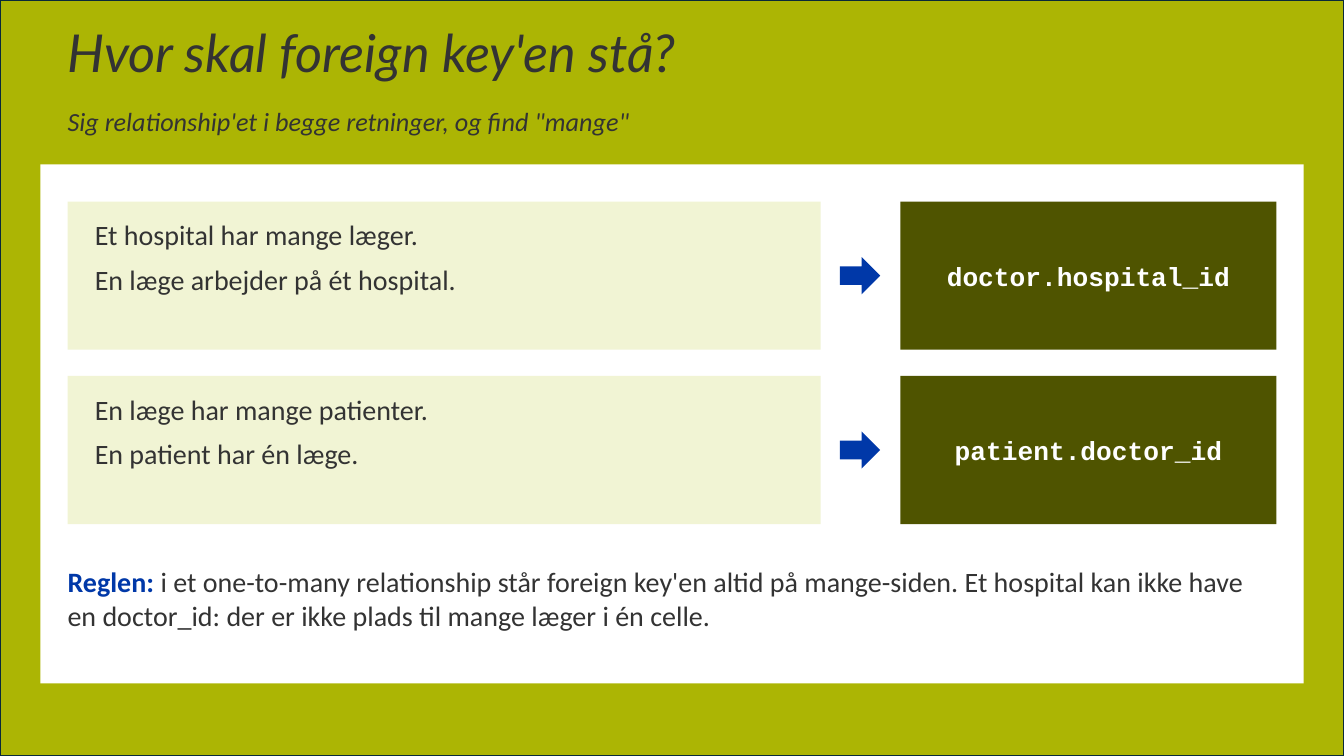
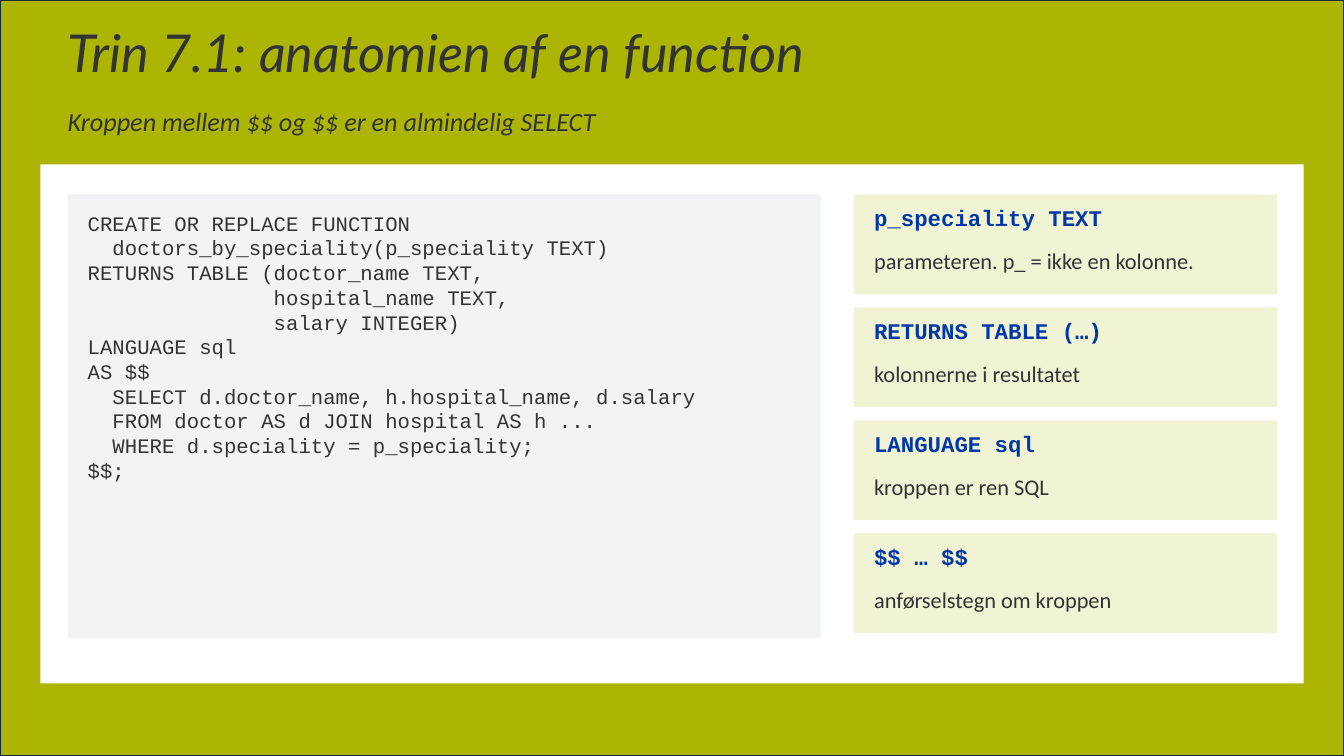
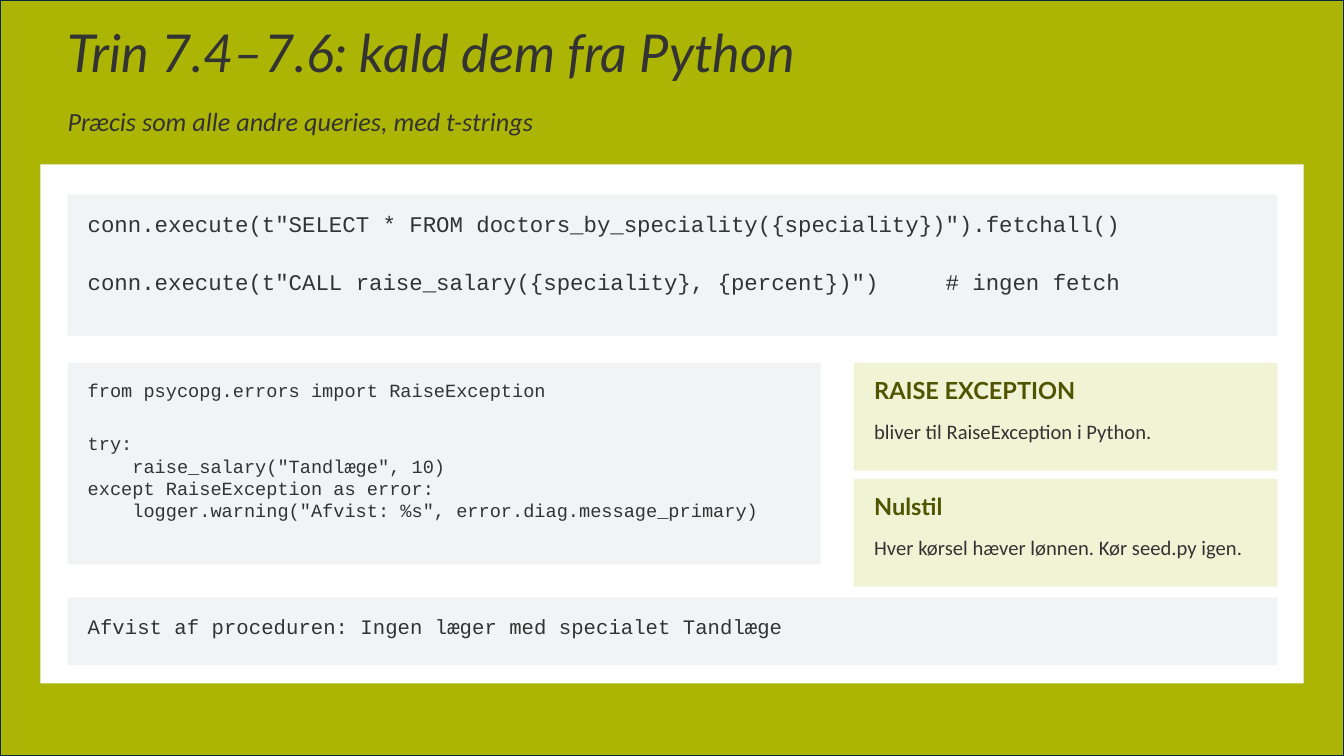
from pptx import Presentation
from pptx.dml.color import RGBColor
from pptx.enum.shapes import MSO_SHAPE as Shape
from pptx.enum.text import MSO_ANCHOR as Anchor, MSO_AUTO_SIZE as AutoSize, PP_ALIGN as Align
from pptx.util import Inches, Pt

COLORS = {
    "olive": "ACB504", "border": "092A39", "white": "FFFFFF", "ink": "333333",
    "pale": "F1F4D4", "dark": "4F5400", "blue": "0038A8", "code": "F2F3F4",
}
HEAD, BODY, MONO = "Lato", "Calibri", "Courier New"
LEFT, WIDTH = 0.67, 12
MAIN_WIDTH = 7.47
SIDE_LEFT, SIDE_WIDTH = 8.47, 4.2
BLANK_LINE = 22  # points left open for an empty line of code


def rgb(name):
    return RGBColor.from_string(COLORS[name])


# Text
def add_span(para, text, size=16, font=BODY, color="ink", bold=False, italic=False):
    span = para.add_run()
    span.text = text
    span.font.size, span.font.name = Pt(size), font
    span.font.bold, span.font.italic = bold, italic
    span.font.color.rgb = rgb(color)


def add_para(frame, text, align=Align.LEFT, before=0, **style):
    first = frame.paragraphs[0]
    para = frame.add_paragraph() if first.runs else first
    para.alignment = align
    para.space_before = Pt(before)
    add_span(para, text, **style)
    return para


def set_frame(frame, inset=(0, 0), anchor=Anchor.TOP):
    frame.word_wrap = True
    frame.auto_size = AutoSize.NONE
    frame.vertical_anchor = anchor
    frame.margin_left = frame.margin_right = Inches(inset[0])
    frame.margin_top, frame.margin_bottom = Inches(inset[1]), 0
    return frame


# Basic parts
def add_box(page, left, top, width, height, fill, kind=Shape.RECTANGLE):
    box = page.shapes.add_shape(kind, Inches(left), Inches(top), Inches(width), Inches(height))
    box.shadow.inherit = False
    box.fill.solid()
    box.fill.fore_color.rgb = rgb(fill)
    box.line.fill.background()
    return box


def add_label(page, left, top, width, height):
    box = page.shapes.add_textbox(Inches(left), Inches(top), Inches(width), Inches(height))
    return set_frame(box.text_frame)


def add_code(page, left, top, width, height, lines, size):
    panel = add_box(page, left, top, width, height, "code")
    frame = set_frame(panel.text_frame, (0.2, 0.16))
    before = 0
    for line in lines:
        if line:
            add_para(frame, line, before=before, size=size, font=MONO)
        before = 0 if line else BLANK_LINE


def add_card(page, top, height, inset, heading, body, heading_style, body_size, gap):
    card = add_box(page, SIDE_LEFT, top, SIDE_WIDTH, height, "pale")
    frame = set_frame(card.text_frame, (0.2, inset))
    add_para(frame, heading, bold=True, **heading_style)
    add_para(frame, body, before=gap, size=body_size)


# Shared page design
def start_page(deck, title, subtitle):
    page = deck.slides.add_slide(deck.slide_layouts[5])
    holder = page.shapes.title
    holder.left, holder.top = Inches(LEFT), Inches(0.27)
    holder.width, holder.height = Inches(WIDTH), Inches(0.73)
    para = add_para(set_frame(holder.text_frame), title, size=37.3, font=HEAD, italic=True)
    para.line_spacing = 0.9
    add_box(page, 0.4, 1.63, 12.53, 5.15, "white")
    add_para(add_label(page, LEFT, 1.04, WIDTH, 0.47), subtitle, size=18.7, italic=True)
    return page


def add_backdrop(deck, page):
    """Draw the olive backdrop and move it to the layout that all pages share."""
    backdrop = add_box(page, 0, 0, 13.33, 7.5, "olive")
    backdrop.line.color.rgb = rgb("border")
    backdrop.line.width = Pt(1.5)
    backdrop.element.nvSpPr.cNvPr.set("id", "100")
    page.slide_layout.shapes.element.insert(2, backdrop.element)


# Foreign key page
def add_relation(page, top, statements, column):
    height = 1.47
    panel = add_box(page, LEFT, top, MAIN_WIDTH, height, "pale")
    frame = set_frame(panel.text_frame, (0.27, 0.16))
    for index, statement in enumerate(statements):
        add_para(frame, statement, before=8 if index else 0, size=20)
    add_box(page, 8.33, top + (height - 0.37) / 2, 0.4, 0.37, "blue", Shape.RIGHT_ARROW)
    answer = add_box(page, 8.93, top, 3.73, height, "dark")
    add_para(set_frame(answer.text_frame, anchor=Anchor.MIDDLE), column, align=Align.CENTER,
             size=18.7, font=MONO, color="white", bold=True)


def build_foreign_key(deck):
    page = start_page(deck, "Hvor skal foreign key'en stå?",
                      'Sig relationship\'et i begge retninger, og find "mange"')
    relations = [
        (["Et hospital har mange læger.", "En læge arbejder på ét hospital."], "doctor.hospital_id"),
        (["En læge har mange patienter.", "En patient har én læge."], "patient.doctor_id"),
    ]
    for index, (statements, column) in enumerate(relations):
        add_relation(page, 2 + index * 1.73, statements, column)
    rule = add_para(add_label(page, LEFT, 5.6, WIDTH, 1.2), "Reglen: ",
                    size=20, color="blue", bold=True)
    add_span(rule, "i et one-to-many relationship står foreign key'en altid på mange-siden. "
             "Et hospital kan ikke have en doctor_id: der er ikke plads til mange læger "
             "i én celle.", size=20)


# Function anatomy page
def build_anatomy(deck):
    page = start_page(deck, "Trin 7.1: anatomien af en function",
                      "Kroppen mellem $$ og $$ er en almindelig SELECT")
    add_code(page, LEFT, 1.93, MAIN_WIDTH, 4.4, [
        "CREATE OR REPLACE FUNCTION",
        "  doctors_by_speciality(p_speciality TEXT)",
        "RETURNS TABLE (doctor_name TEXT,",
        "               hospital_name TEXT,",
        "               salary INTEGER)",
        "LANGUAGE sql",
        "AS $$",
        "  SELECT d.doctor_name, h.hospital_name, d.salary",
        "  FROM doctor AS d JOIN hospital AS h ...",
        "  WHERE d.speciality = p_speciality;",
        "$$;",
    ], 14.7)
    cards = [
        ("p_speciality TEXT", "parameteren. p_ = ikke en kolonne."),
        ("RETURNS TABLE (…)", "kolonnerne i resultatet"),
        ("LANGUAGE sql", "kroppen er ren SQL"),
        ("$$ … $$", "anførselstegn om kroppen"),
    ]
    style = {"size": 16, "font": MONO, "color": "blue"}
    for index, (heading, body) in enumerate(cards):
        add_card(page, 1.93 + index * 1.12, 0.99, 0.1, heading, body, style, 16, 11.4)


# Python calls page
def build_calls(deck):
    page = start_page(deck, "Trin 7.4–7.6: kald dem fra Python",
                      "Præcis som alle andre queries, med t-strings")
    add_code(page, LEFT, 1.93, WIDTH, 1.4, [
        'conn.execute(t"SELECT * FROM doctors_by_speciality({speciality})").fetchall()',
        "",
        'conn.execute(t"CALL raise_salary({speciality}, {percent})")     # ingen fetch',
    ], 16)
    add_code(page, LEFT, 3.6, MAIN_WIDTH, 2, [
        "from psycopg.errors import RaiseException",
        "",
        "try:",
        '    raise_salary("Tandlæge", 10)',
        "except RaiseException as error:",
        '    logger.warning("Afvist: %s", error.diag.message_primary)',
    ], 13.3)
    cards = [
        ("RAISE EXCEPTION", "bliver til RaiseException i Python."),
        ("Nulstil", "Hver kørsel hæver lønnen. Kør seed.py igen."),
    ]
    style = {"size": 16.8, "font": HEAD, "color": "dark"}
    for index, (heading, body) in enumerate(cards):
        add_card(page, 3.6 + index * 1.15, 1.07, 0.13, heading, body, style, 14.7, 10.8)
    add_code(page, LEFT, 5.93, WIDTH, 0.67,
             ["Afvist af proceduren: Ingen læger med specialet Tandlæge"], 14.7)


def main():
    deck = Presentation()
    deck.slide_width, deck.slide_height = Inches(13.33), Inches(7.5)
    for build in (build_foreign_key, build_anatomy, build_calls):
        build(deck)
    add_backdrop(deck, deck.slides[0])
    deck.save("out.pptx")


if __name__ == "__main__":
    main()
